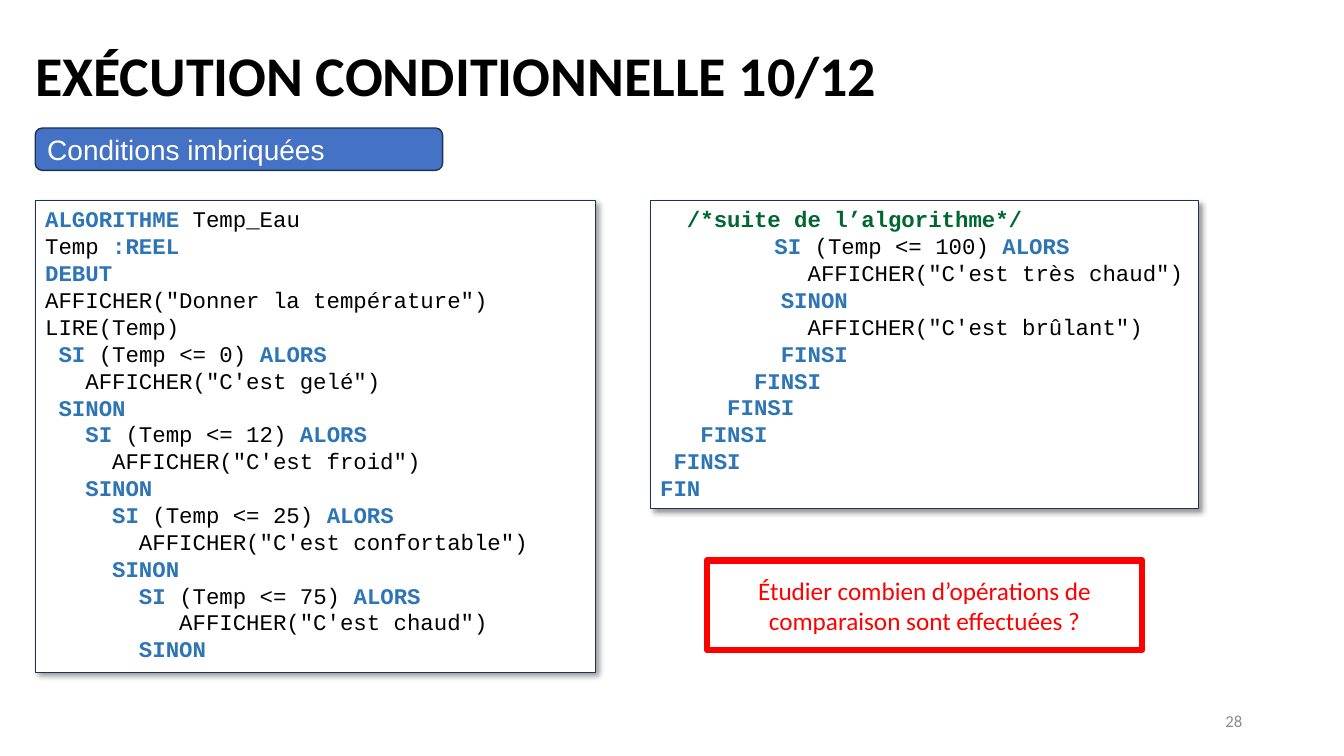
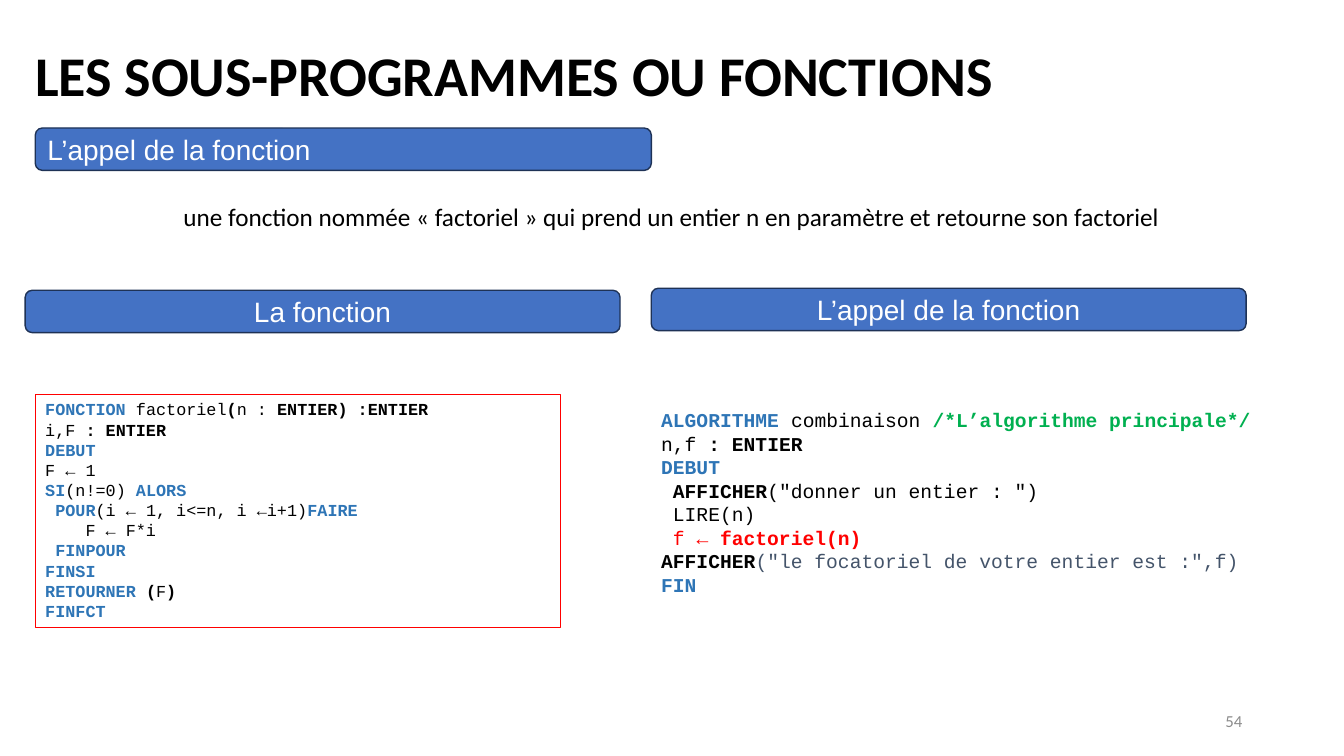
from lxml import etree
from pptx import Presentation
from pptx.dml.color import RGBColor
from pptx.enum import shapes, text
from pptx.oxml import ns
from pptx.util import Inches, Pt

COLORS = {
    "black": "000000",
    "white": "FFFFFF",
    "band": "4472C4",
    "navy": "1E3256",
    "keyword": "2E75B6",
    "remark": "00682F",
    "green": "00B050",
    "red": "FF0000",
    "slate": "44546A",
    "gray": "8C8C8C",
}

CODE_STYLES = {
    "plain": ("black", False),
    "strong": ("black", True),
    "keyword": ("keyword", True),
    "remark": ("remark", True),
    "comment": ("green", True),
    "target": ("red", False),
    "call": ("red", True),
    "output": ("slate", False),
}

MARGIN = 0.35
RIGHT_COLUMN = 6.46
BAND_HEIGHT = 0.42


def plain(code):
    return code, "plain"


def strong(code):
    return code, "strong"


def keyword(code):
    return code, "keyword"


def condition(indent, test):
    return [keyword(indent + "SI"), plain(f" ({test}) "), keyword("ALORS")]


WATER_START = [
    [keyword("ALGORITHME "), plain("Temp_Eau")],
    [plain("Temp"), keyword(" :REEL")],
    [keyword("DEBUT")],
    [plain('AFFICHER("Donner la température")')],
    [plain("LIRE(Temp)")],
    condition(" ", "Temp <= 0"),
    [plain('   AFFICHER("C\'est gelé")')],
    [keyword(" SINON")],
    condition("   ", "Temp <= 12"),
    [plain('     AFFICHER("C\'est froid")')],
    [keyword("   SINON")],
    condition("     ", "Temp <= 25"),
    [plain('       AFFICHER("C\'est confortable")')],
    [keyword("     SINON")],
    condition("       ", "Temp <= 75"),
    [plain('          AFFICHER("C\'est chaud")')],
    [keyword("       SINON")],
]

WATER_END = [
    [("  /*suite de l’algorithme*/", "remark")],
    condition("\t ", "Temp <= 100"),
    [plain('           AFFICHER("C\'est très chaud")')],
    [keyword("         SINON")],
    [plain('           AFFICHER("C\'est brûlant")')],
    *[[keyword(" " * depth + "FINSI")] for depth in range(9, 0, -2)],
    [keyword("FIN")],
]

FACTORIAL = [
    [keyword("FONCTION "), plain("factoriel"), strong("("), plain("n :"),
     strong(" ENTIER) :ENTIER")],
    [plain("i,F "), strong(": ENTIER")],
    [keyword("DEBUT")],
    [plain("F ← 1")],
    [keyword("SI"), plain("(n!=0) "), keyword("ALORS")],
    [keyword(" POUR"), plain("(i ← 1, i<=n, i ←i+1)"), keyword("FAIRE")],
    [plain("    F ← F*i")],
    [keyword(" FINPOUR")],
    [keyword("FINSI")],
    [keyword("RETOURNER "), strong("("), plain("F"), strong(")")],
    [keyword("FINFCT")],
]

MAIN_PROGRAM = [
    [keyword("ALGORITHME "), plain("combinaison "),
     ("/*L’algorithme principale*/", "comment")],
    [plain("n,f "), strong(": ENTIER")],
    [keyword("DEBUT")],
    [strong(" AFFICHER"), plain('("donner un entier : ")')],
    [plain(" LIRE(n)")],
    [(" f", "target"), (" ← factoriel(n)", "call")],
    [strong("AFFICHER"), ('("le focatoriel de votre entier est :",f)', "output")],
    [keyword("FIN")],
]


def rgb(name):
    return RGBColor.from_string(COLORS[name])


def style_font(font, size, color, name="Calibri", bold=False):
    font.name = name
    font.size = Pt(size)
    font.bold = bold
    font.color.rgb = rgb(color)


def fill_line(frame, words, size, color, name="Calibri", align=text.PP_ALIGN.LEFT,
              anchor=text.MSO_ANCHOR.MIDDLE, bold=False):
    frame.word_wrap = True
    frame.auto_size = text.MSO_AUTO_SIZE.NONE
    frame.vertical_anchor = anchor
    paragraph = frame.paragraphs[0]
    paragraph.text = words
    paragraph.alignment = align
    style_font(paragraph.font, size, color, name, bold)
    return paragraph


def add_box(slide, kind, place, fill, line, weight):
    box = slide.shapes.add_shape(kind, *map(Inches, place))
    box.shadow.inherit = False
    if fill:
        box.fill.solid()
        box.fill.fore_color.rgb = rgb(fill)
    else:
        box.fill.background()
    box.line.color.rgb = rgb(line)
    box.line.width = Pt(weight)
    return box


def add_text(slide, place):
    return slide.shapes.add_textbox(*map(Inches, place)).text_frame


def add_band(slide, words, left, top, width, align=text.PP_ALIGN.LEFT):
    band = add_box(slide, shapes.MSO_SHAPE.ROUNDED_RECTANGLE,
                   (left, top, width, BAND_HEIGHT), "band", "navy", 1)
    fill_line(band.text_frame, words, 20, "white", "Arial", align)


def add_drop_shadow(box):
    effects = box.element.spPr.find(ns.qn("a:effectLst"))
    shadow = etree.SubElement(effects, ns.qn("a:outerShdw"), blurRad=str(Pt(4)),
                              dist=str(Pt(3)), dir="2700000", algn="tl", rotWithShape="0")
    color = etree.SubElement(shadow, ns.qn("a:srgbClr"), val=COLORS["black"])
    etree.SubElement(color, ns.qn("a:alpha"), val="40000")


def add_tab_stop(paragraph, position):
    stops = etree.SubElement(paragraph._p.get_or_add_pPr(), ns.qn("a:tabLst"))
    etree.SubElement(stops, ns.qn("a:tab"), pos=str(Inches(position)), algn="l")


def write_code(frame, lines, size):
    frame.word_wrap = True
    frame.vertical_anchor = text.MSO_ANCHOR.TOP
    for index, line in enumerate(lines):
        paragraph = frame.add_paragraph() if index else frame.paragraphs[0]
        paragraph.alignment = text.PP_ALIGN.LEFT
        if line[0][0].startswith("\t"):
            add_tab_stop(paragraph, 1)
        for code, style in line:
            run = paragraph.add_run()
            run.text = code
            color, bold = CODE_STYLES[style]
            style_font(run.font, size, color, "Courier New", bold)


def add_shadowed_code(slide, lines, place):
    panel = add_box(slide, shapes.MSO_SHAPE.RECTANGLE, place, "white", "navy", 0.75)
    add_drop_shadow(panel)
    write_code(panel.text_frame, lines, 16)


def start_slide(deck, heading, topic, topic_width, number):
    slide = deck.slides.add_slide(deck.slide_layouts[5])
    title = slide.shapes.title
    title.left, title.top, title.width, title.height = map(Inches, (0.25, 0.35, 11.5, 0.77))
    fill_line(title.text_frame, heading, 40, "black",
              anchor=text.MSO_ANCHOR.TOP, bold=True)
    add_band(slide, topic, MARGIN, 1.27, topic_width)
    fill_line(add_text(slide, (9.42, 6.95, 3, 0.4)), str(number), 12, "gray",
              align=text.PP_ALIGN.RIGHT)
    return slide


def build_conditions(deck):
    slide = start_slide(deck, "EXÉCUTION CONDITIONNELLE 10/12",
                        "Conditions imbriquées", 4.04, 28)
    add_shadowed_code(slide, WATER_START, (MARGIN, 1.99, 5.56, 4.68))
    add_shadowed_code(slide, WATER_END, (6.45, 1.99, 5.44, 3.06))
    question = add_box(slide, shapes.MSO_SHAPE.RECTANGLE, (7.01, 5.56, 4.32, 0.89),
                       "white", "red", 4.5)
    fill_line(question.text_frame,
              "Étudier combien d’opérations de comparaison sont effectuées ?",
              18, "red", align=text.PP_ALIGN.CENTER)


def build_functions(deck):
    slide = start_slide(deck, "LES SOUS-PROGRAMMES OU FONCTIONS",
                        "L’appel de la fonction", 6.11, 54)
    summary = fill_line(
        add_text(slide, (0.96, 1.9, 11.4, 0.5)),
        "une fonction nommée « factoriel » qui prend un entier n en paramètre"
        " et retourne son factoriel",
        18, "black", align=text.PP_ALIGN.CENTER, anchor=text.MSO_ANCHOR.TOP)
    summary.line_spacing = 1.15
    add_band(slide, "La fonction", 0.25, 2.88, 5.9, text.PP_ALIGN.CENTER)
    add_band(slide, "L’appel de la fonction", RIGHT_COLUMN, 2.86, 5.9, text.PP_ALIGN.CENTER)
    panel = add_box(slide, shapes.MSO_SHAPE.RECTANGLE, (MARGIN, 3.91, 5.21, 2.32),
                    None, "red", 0.75)
    write_code(panel.text_frame, FACTORIAL, 12)
    write_code(add_text(slide, (RIGHT_COLUMN, 4, 6.67, 1.97)), MAIN_PROGRAM, 14)


def main():
    deck = Presentation()
    deck.slide_width, deck.slide_height = Inches(13.33), Inches(7.5)
    build_conditions(deck)
    build_functions(deck)
    deck.save("out.pptx")


if __name__ == "__main__":
    main()
